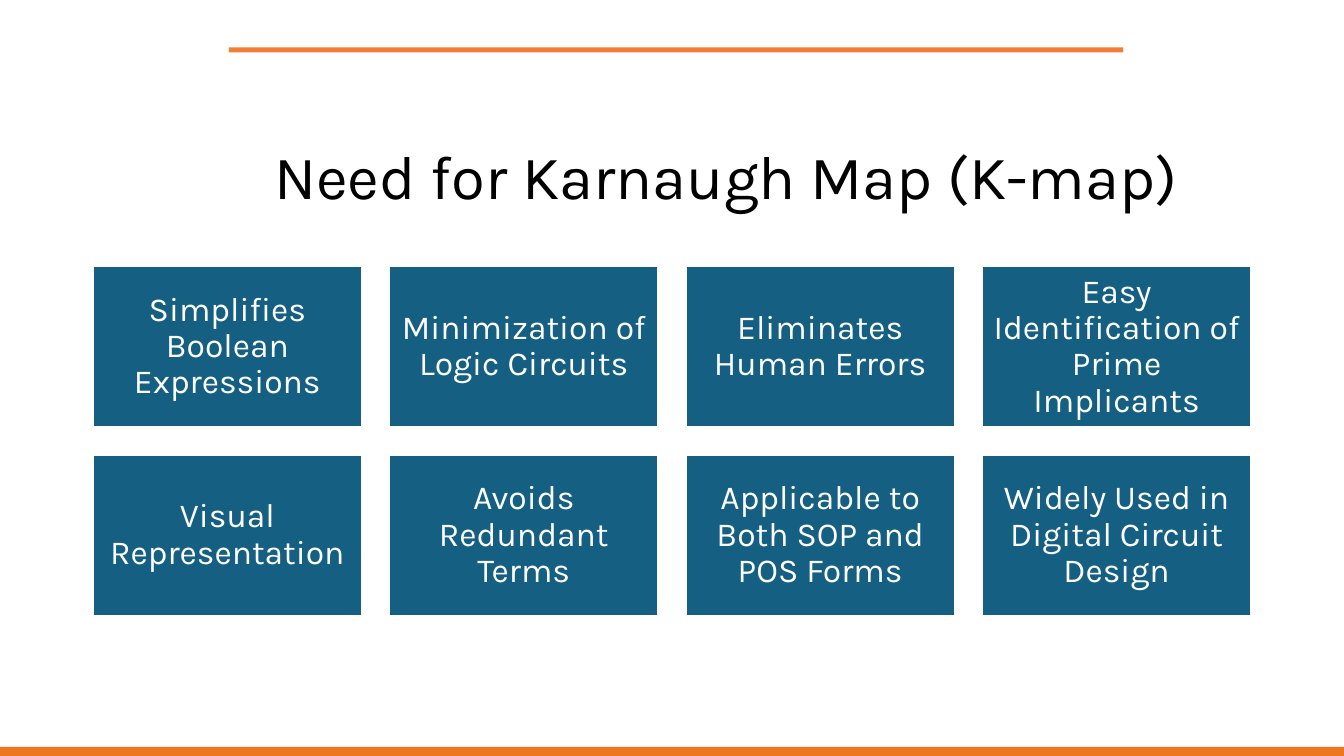
import dataclasses

import pptx
import pptx.dml.color
import pptx.enum.shapes
import pptx.enum.text
import pptx.shapes.autoshape
import pptx.slide
import pptx.text.text
import pptx.util
from pptx.dml.color import RGBColor
from pptx.util import Inches

FONT = "Karla"
BLACK = RGBColor(0x00, 0x00, 0x00)
WHITE = RGBColor(0xFF, 0xFF, 0xFF)
TEAL = RGBColor(0x15, 0x60, 0x82)
RULE_ORANGE = RGBColor(0xF4, 0x7D, 0x35)
FOOTER_ORANGE = RGBColor(0xED, 0x77, 0x1F)

REASONS = [
    "Simplifies Boolean Expressions",
    "Minimization of Logic Circuits",
    "Eliminates Human Errors",
    "Easy Identification of Prime Implicants",
    "Visual Representation",
    "Avoids Redundant Terms",
    "Applicable to Both SOP and POS Forms",
    "Widely Used in Digital Circuit Design",
]
COLUMNS = 4
GRID_LEFT, GRID_TOP = 0.92, 2.64
CARD_WIDTH, CARD_HEIGHT = 2.67, 1.6
GAP = 0.27


@dataclasses.dataclass
class Box:
    left: float
    top: float
    width: float
    height: float
    fill: RGBColor


def add_box(slide: pptx.slide.Slide, box: Box) -> pptx.shapes.autoshape.Shape:
    shape = slide.shapes.add_shape(
        pptx.enum.shapes.MSO_SHAPE.RECTANGLE,
        Inches(box.left), Inches(box.top), Inches(box.width), Inches(box.height),
    )
    shape.shadow.inherit = False
    shape.fill.solid()
    shape.fill.fore_color.rgb = box.fill
    shape.line.fill.background()
    return shape


def set_text(
    text_frame: pptx.text.text.TextFrame,
    text: str,
    size: int,
    color: RGBColor,
    alignment: pptx.enum.text.PP_ALIGN,
) -> None:
    text_frame.text = text
    text_frame.word_wrap = True
    text_frame.auto_size = pptx.enum.text.MSO_AUTO_SIZE.NONE
    text_frame.vertical_anchor = pptx.enum.text.MSO_ANCHOR.MIDDLE
    paragraph = text_frame.paragraphs[0]
    paragraph.alignment = alignment
    paragraph.line_spacing = 0.9
    font = paragraph.runs[0].font
    font.name = FONT
    font.size = pptx.util.Pt(size)
    font.color.rgb = color


def add_title(slide: pptx.slide.Slide) -> None:
    title = slide.shapes.title
    title.left, title.top = Inches(2.62), Inches(1.06)
    title.width, title.height = Inches(9.67), Inches(1.45)
    set_text(title.text_frame, "Need for Karnaugh Map (K-map)", 44, BLACK,
             pptx.enum.text.PP_ALIGN.LEFT)


def add_reason_card(slide: pptx.slide.Slide, index: int, reason: str) -> None:
    row, column = divmod(index, COLUMNS)
    card = add_box(slide, Box(
        GRID_LEFT + column * (CARD_WIDTH + GAP),
        GRID_TOP + row * (CARD_HEIGHT + GAP),
        CARD_WIDTH, CARD_HEIGHT, TEAL,
    ))
    card.line.color.rgb = WHITE
    card.line.width = pptx.util.Pt(1.5)
    text_frame = card.text_frame
    text_frame.margin_left = text_frame.margin_right = Inches(0.1)
    text_frame.margin_top = text_frame.margin_bottom = Inches(0.1)
    set_text(text_frame, reason, 24, WHITE, pptx.enum.text.PP_ALIGN.CENTER)


def main() -> None:
    presentation = pptx.Presentation()
    presentation.slide_width = Inches(13.33)
    presentation.slide_height = Inches(7.5)
    slide = presentation.slides.add_slide(presentation.slide_layouts.get_by_name("Title Only"))
    add_box(slide, Box(2.27, 0.47, 8.87, 0.05, RULE_ORANGE))
    add_box(slide, Box(0, 7.41, 13.33, 0.09, FOOTER_ORANGE))
    add_title(slide)
    for index, reason in enumerate(REASONS):
        add_reason_card(slide, index, reason)
    presentation.save("out.pptx")


if __name__ == "__main__":
    main()
